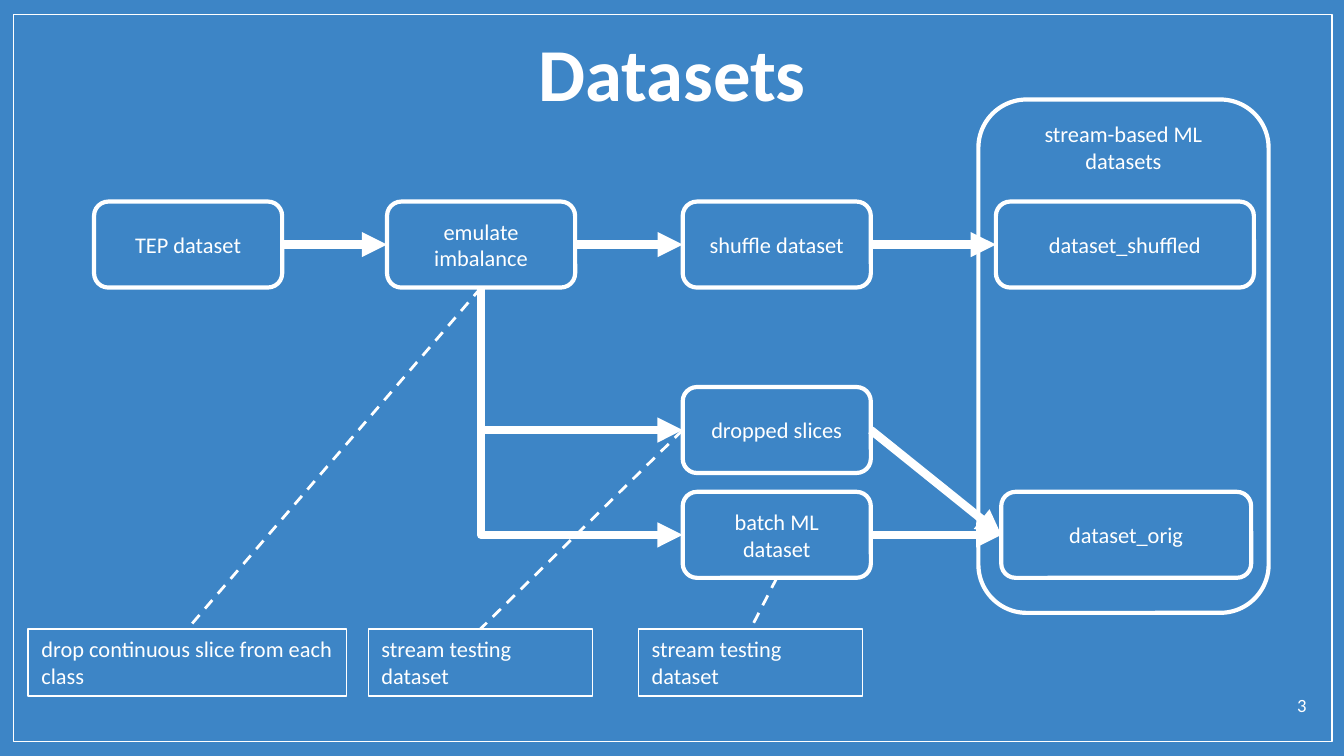
"""Build the Datasets slide: a flow from the TEP dataset to the stream-based ML datasets."""
from lxml import etree
from pptx import Presentation
from pptx.dml.color import RGBColor
from pptx.enum.dml import MSO_LINE
from pptx.enum.shapes import MSO_CONNECTOR, MSO_SHAPE
from pptx.enum.text import MSO_ANCHOR, PP_ALIGN
from pptx.oxml.ns import qn
from pptx.util import Inches, Pt

RECTANGLE, ROUNDED = MSO_SHAPE.RECTANGLE, MSO_SHAPE.ROUNDED_RECTANGLE
STRAIGHT, DASH = MSO_CONNECTOR.STRAIGHT, MSO_LINE.DASH
TOP, MIDDLE = MSO_ANCHOR.TOP, MSO_ANCHOR.MIDDLE
LEFT, CENTER, RIGHT = PP_ALIGN.LEFT, PP_ALIGN.CENTER, PP_ALIGN.RIGHT
TOP_SITE, LEFT_SITE, BOTTOM_SITE, RIGHT_SITE = range(4)
COLORS = {"background": "3D85C6", "white": "FFFFFF"}
WHITE = RGBColor.from_string(COLORS["white"])


def write_text(shape, text, size, align, anchor=TOP, bold=False):
    frame = shape.text_frame
    frame.text = text
    frame.word_wrap = True
    frame.vertical_anchor = anchor
    paragraph = frame.paragraphs[0]
    paragraph.alignment = align
    font = paragraph.runs[0].font
    for name, value in {"name": "Calibri", "size": Pt(size), "bold": bold}.items():
        setattr(font, name, value)
    font.color.rgb = WHITE


def style_connector(connector, width, arrow):
    connector.line.color.rgb = WHITE
    connector.line.width = Pt(width)
    properties = connector._element.spPr
    if arrow:
        etree.SubElement(properties.find(qn("a:ln")), qn("a:tailEnd"), type="triangle")
    else:
        connector.line.dash_style = DASH
    etree.SubElement(properties, qn("a:effectLst"))


presentation = Presentation()
presentation.slide_width, presentation.slide_height = Inches(10), Inches(10 * 9 / 16)
slide = presentation.slides.add_slide(presentation.slide_layouts[5])
slide.background.fill.solid()
slide.background.fill.fore_color.rgb = RGBColor.from_string(COLORS["background"])

title = slide.shapes.title
title_box = {"left": 0.1, "top": 0.15, "width": 9.8, "height": 0.77}
for name, value in title_box.items():
    setattr(title, name, Inches(value))
write_text(title, "Datasets", 40, CENTER, bold=True)

box_width, box_height = 1.4, 0.64
flow_top, dropped_top, batch_top = 1.5, 2.88, 3.66
third_column = 5.08
note_top, note_height = 4.68, 0.5
boxes = [
    ("frame", "", 0.1, 0.11, 9.81, 5.41),
    ("tep", "TEP dataset", 0.7, flow_top, box_width, box_height),
    ("imbalance", "emulate imbalance", 2.88, flow_top, box_width, box_height),
    ("batch", "batch ML dataset", third_column, batch_top, box_width, box_height),
    ("shuffle", "shuffle dataset", third_column, flow_top, box_width, box_height),
    ("group", "stream-based ML datasets", 7.28, 0.74, 2.16, 3.82),
    ("dropped", "dropped slices", third_column, dropped_top, box_width, box_height),
    ("drop note", "drop continuous slice from each class", 0.21, note_top, 2.37, note_height),
    ("slices note", "stream testing dataset", 2.74, note_top, 1.67, note_height),
    ("batch note", "stream testing dataset", 4.75, note_top, 1.67, note_height),
    ("shuffled", "dataset_shuffled", 7.41, flow_top, 1.92, box_height),
    ("original", "dataset_orig", 7.45, batch_top, 1.86, box_height),
]
shapes = {}
for key, text, left, top, width, height in boxes:
    plain = key == "frame" or key.endswith("note")
    shape = slide.shapes.add_shape(
        RECTANGLE if plain else ROUNDED, Inches(left), Inches(top), Inches(width), Inches(height)
    )
    shape.shadow.inherit = False
    shape.fill.background()
    shape.line.color.rgb = WHITE
    shape.line.width = Pt(0.75 if plain else 2.25)
    if text:
        anchor = TOP if plain or key == "group" else MIDDLE
        write_text(shape, text, 12, LEFT if plain else CENTER, anchor)
    shapes[key] = shape

links = [
    ("imbalance", BOTTOM_SITE, "drop note", TOP_SITE),
    ("dropped", LEFT_SITE, "slices note", TOP_SITE),
    ("batch", BOTTOM_SITE, "batch note", TOP_SITE),
    ("tep", RIGHT_SITE, "imbalance", LEFT_SITE),
    ("imbalance", RIGHT_SITE, "shuffle", LEFT_SITE),
    ("shuffle", RIGHT_SITE, "shuffled", LEFT_SITE),
    ("batch", RIGHT_SITE, "original", LEFT_SITE),
    ("dropped", RIGHT_SITE, "original", LEFT_SITE),
]
for start, start_site, end, end_site in links:
    connector = slide.shapes.add_connector(STRAIGHT, 0, 0, 0, 0)
    connector.begin_connect(shapes[start], start_site)
    connector.end_connect(shapes[end], end_site)
    arrow = end_site == LEFT_SITE
    style_connector(connector, 4.5 if arrow else 1.5, arrow)

start_x, start_y = 3.58, flow_top + box_height
for target_top in (dropped_top, batch_top):
    across, down = third_column - start_x, target_top + box_height / 2 - start_y
    left = start_x + (across - down) / 2
    top = start_y + (down - across) / 2
    connector = slide.shapes.add_connector(
        STRAIGHT, Inches(left + down), Inches(top), Inches(left), Inches(top + across)
    )
    connector._element.spPr.find(qn("a:xfrm")).set("rot", str(270 * 60000))
    connector._element.spPr.find(qn("a:prstGeom")).set("prst", "bentConnector2")
    style_connector(connector, 4.5, True)

number = slide.shapes.add_textbox(Inches(9.32), Inches(5.08), Inches(0.5), Inches(0.32))
for side in ("left", "top", "right", "bottom"):
    setattr(number.text_frame, f"margin_{side}", Inches(0.1))
write_text(number, "3", 10, RIGHT)

presentation.save("out.pptx")
